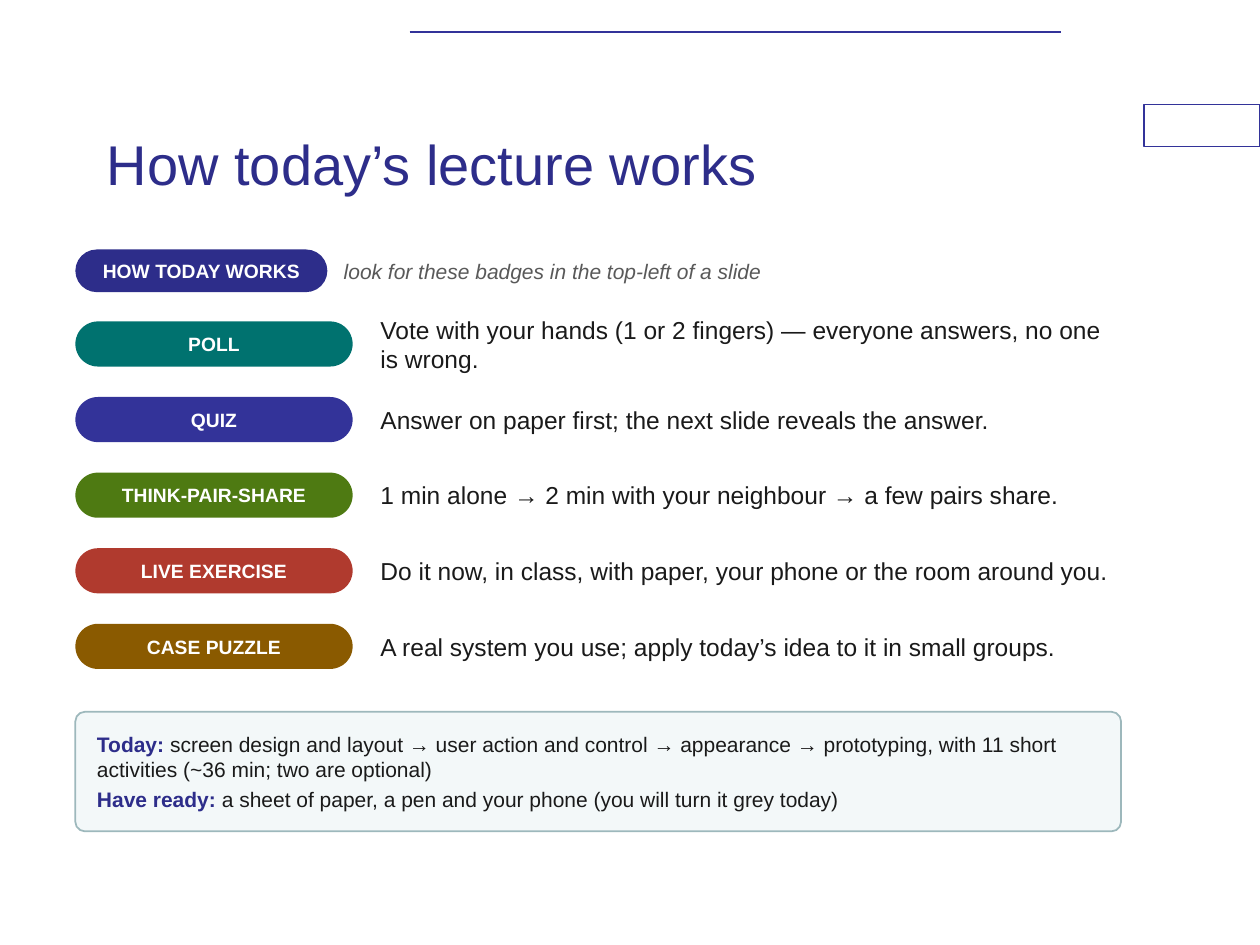
from lxml import etree
from pptx import Presentation
from pptx.dml.color import RGBColor
from pptx.enum.shapes import MSO_CONNECTOR, MSO_SHAPE
from pptx.enum.text import MSO_ANCHOR, MSO_AUTO_SIZE, PP_ALIGN
from pptx.oxml.ns import qn
from pptx.util import Cm, Pt

RECT, ROUND = MSO_SHAPE.RECTANGLE, MSO_SHAPE.ROUNDED_RECTANGLE
LEFT, CENTER = PP_ALIGN.LEFT, PP_ALIGN.CENTER
MIDDLE = MSO_ANCHOR.MIDDLE
FONT = "Arial"
COLORS = {
    "navy": "2D2D8A", "indigo": "333399", "teal": "00726F", "green": "4E7A12",
    "red": "B03A2E", "brown": "8A5A00", "white": "FFFFFF", "ink": "1A1A1A",
    "grey": "595959", "panel": "F3F8F9", "panel_line": "9DB8BC",
}
RGB = {name: RGBColor.from_string(value) for name, value in COLORS.items()}


def write(sp, *paragraphs, size, color="ink", bold=False, italic=False,
          align=LEFT, inset=0.05, lead_color="navy", space=0):
    """Fill a shape; a (lead, text) paragraph gets a bold coloured lead-in."""
    tf = sp.text_frame
    tf.word_wrap = True
    tf.auto_size = MSO_AUTO_SIZE.NONE
    tf.vertical_anchor = MIDDLE
    if inset is not None:
        tf.margin_left = tf.margin_right = Cm(inset)
        tf.margin_top = tf.margin_bottom = Cm(inset)
    for i, content in enumerate(paragraphs):
        p = tf.add_paragraph() if i else tf.paragraphs[0]
        p.alignment = align
        if i:
            p.space_before = Pt(space)
        if isinstance(content, str):
            runs = [(content, color, bold)]
        else:
            runs = [(content[0], lead_color, True), (content[1], color, bold)]
        for text, run_color, run_bold in runs:
            r = p.add_run()
            r.text = text
            r.font.name, r.font.size = FONT, Pt(size)
            r.font.bold, r.font.italic = run_bold, italic
            r.font.color.rgb = RGB[run_color]


def add_box(kind, x, y, w, h, fill, line=None, width=1, radius=0.5):
    sp = s.shapes.add_shape(kind, Cm(x), Cm(y), Cm(w), Cm(h))
    sp.shadow.inherit = False
    sp.fill.solid()
    sp.fill.fore_color.rgb = RGB[fill]
    if kind == ROUND:
        sp.adjustments[0] = radius
    if line:
        sp.line.color.rgb = RGB[line]
        sp.line.width = Pt(width)
    else:
        sp.line.fill.background()
    return sp


prs = Presentation()
prs.slide_width, prs.slide_height = Cm(25.4), Cm(19.05)
s = prs.slides.add_slide(prs.slide_layouts[5])

# Frame decoration
add_box(RECT, 23.06, 2.11, 2.34, 0.84, "white", line="indigo", width=0.75)
rule = s.shapes.add_connector(MSO_CONNECTOR.STRAIGHT, Cm(8.26), Cm(0.64), Cm(21.39), Cm(0.64))
rule.line.color.rgb = RGB["indigo"]
rule.line.width = Pt(1)
etree.SubElement(rule._element.spPr, qn("a:effectLst"))

# Title
title = s.shapes.title
title.left, title.top, title.width, title.height = Cm(1.9), Cm(1.7), Cm(19.05), Cm(3.18)
write(title, "How today’s lecture works", size=32, color="navy", inset=None)

# Heading badge and hint
badge = add_box(ROUND, 1.52, 5.03, 5.08, 0.86, "navy")
write(badge, "HOW TODAY WORKS", size=11, color="white", bold=True, align=CENTER, inset=0.08)
hint = s.shapes.add_textbox(Cm(6.88), Cm(5.03), Cm(15.7), Cm(0.86))
write(hint, "look for these badges in the top-left of a slide", size=12, color="grey", italic=True)

# Activity rows
activities = [
    ("POLL", "teal", "Vote with your hands (1 or 2 fingers) — everyone answers, no one is wrong."),
    ("QUIZ", "indigo", "Answer on paper first; the next slide reveals the answer."),
    ("THINK-PAIR-SHARE", "green", "1 min alone → 2 min with your neighbour → a few pairs share."),
    ("LIVE EXERCISE", "red", "Do it now, in class, with paper, your phone or the room around you."),
    ("CASE PUZZLE", "brown", "A real system you use; apply today’s idea to it in small groups."),
]
ROW_TOP, ROW_STEP, ROW_H, BADGE_H = 6.3, 1.524, 1.27, 0.91
for i, (name, color, description) in enumerate(activities):
    y = ROW_TOP + i * ROW_STEP
    badge = add_box(ROUND, 1.52, y + (ROW_H - BADGE_H) / 2, 5.59, BADGE_H, color)
    write(badge, name, size=11, color="white", bold=True, align=CENTER, inset=0.08)
    label = s.shapes.add_textbox(Cm(7.62), Cm(y), Cm(14.99), Cm(ROW_H))
    write(label, description, size=14)

# Summary panel
panel = add_box(ROUND, 1.52, 14.35, 21.08, 2.41, "panel", line="panel_line", radius=0.08)
write(
    panel,
    ("Today: ", "screen design and layout → user action and control → appearance → "
                "prototyping, with 11 short activities (~36 min; two are optional)"),
    ("Have ready: ", "a sheet of paper, a pen and your phone (you will turn it grey today)"),
    size=12, inset=0.38, space=3,
)

prs.save("out.pptx")
